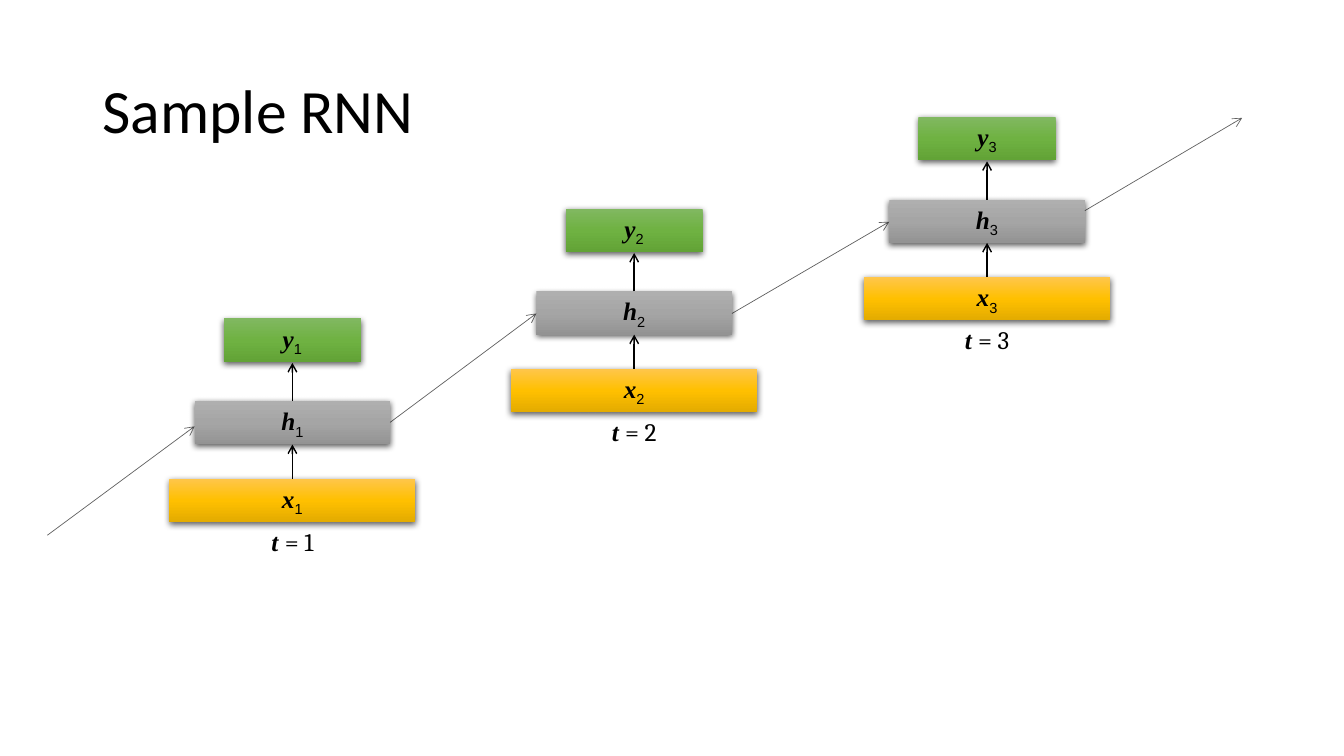
from copy import deepcopy
from dataclasses import dataclass

from lxml import etree
from pptx import Presentation
from pptx.dml.color import RGBColor
from pptx.enum.shapes import MSO_CONNECTOR, MSO_SHAPE
from pptx.enum.text import MSO_ANCHOR, MSO_AUTO_SIZE, PP_ALIGN
from pptx.oxml.ns import qn
from pptx.util import Inches, Pt

STRAIGHT = MSO_CONNECTOR.STRAIGHT
RECTANGLE = MSO_SHAPE.RECTANGLE
MIDDLE = MSO_ANCHOR.MIDDLE
GROW = MSO_AUTO_SIZE.SHAPE_TO_FIT_TEXT
CENTER = PP_ALIGN.CENTER


@dataclass(frozen=True)
class Theme:
    """Colours, fonts and sizes of the slide."""
    black: str = "000000"
    hidden: tuple = ("AFAFAF", "A5A5A5", "939393")
    output: tuple = ("81B861", "6FB242", "62A336")
    input: tuple = ("FFC64B", "FFC000", "E3AB00")
    title_font: str = "Calibri"
    symbol_font: str = "Times New Roman"
    index_font: str = "Arial"
    equation_font: str = "Cambria"
    title_size: int = 44
    body_size: int = 18


THEME = Theme()
BOX_HEIGHT = 0.43
LAYERS = (
    ("h", 0, 1.94, THEME.hidden),
    ("y", -0.82, 1.36, THEME.output),
    ("x", 0.77, 2.44, THEME.input),
)
TIME_STEPS = ((1, 2.9, 3.98), (2, 6.29, 2.89), (3, 9.79, 1.98))
STATE_ARROWS = (
    ((3.87, 4.19), (5.32, 3.11)),
    ((7.26, 3.11), (8.82, 2.2)),
    ((10.76, 2.09), (12.32, 1.17)),
    ((0.47, 5.31), (1.93, 4.23)),
)


def add_text(paragraph, text, *, font, size=THEME.body_size, bold=False, italic=False, baseline=None):
    """Append a formatted run to a paragraph."""
    run = paragraph.add_run()
    run.text = text
    run.font.name = font
    run.font.size = Pt(size)
    run.font.bold = bold
    run.font.italic = italic
    run.font.color.rgb = RGBColor.from_string(THEME.black)
    if baseline is not None:
        run.font._element.set("baseline", str(baseline * 1000))


def add_symbol(paragraph, text):
    """Append a bold italic variable name."""
    add_text(paragraph, text, font=THEME.symbol_font, bold=True, italic=True)


def add_alpha(color_element, percent):
    """Set the opacity of a colour element."""
    etree.SubElement(color_element, qn("a:alpha"), val=str(percent * 1000))


def fill_gradient(shape, colors):
    """Fill a shape from top to bottom with evenly spaced colours."""
    shape.fill.gradient()
    shape.fill.gradient_angle = 270
    stop_list = shape._element.spPr.find(".//" + qn("a:gsLst"))
    while len(stop_list) < len(colors):
        stop_list.append(deepcopy(stop_list[0]))
    for index, (stop, color) in enumerate(zip(shape.fill.gradient_stops, colors)):
        stop.position = index / (len(colors) - 1)
        stop.color.rgb = RGBColor.from_string(color)


def add_shadow(shape):
    """Give a shape a soft shadow that falls downwards."""
    shape.shadow.inherit = False
    effects = shape._element.spPr.find(qn("a:effectLst"))
    shadow = etree.SubElement(
        effects, qn("a:outerShdw"), blurRad=str(Pt(4.5)), dist=str(Pt(1.5)),
        dir="5400000", algn="ctr", rotWithShape="0")
    add_alpha(etree.SubElement(shadow, qn("a:srgbClr"), val=THEME.black), 63)


def add_layer(slide, symbol, step, center, top, width, colors):
    """Draw one layer box with its indexed symbol."""
    shape = slide.shapes.add_shape(
        RECTANGLE, Inches(center - width / 2), Inches(top), Inches(width), Inches(BOX_HEIGHT))
    fill_gradient(shape, colors)
    shape.line.fill.background()
    add_shadow(shape)
    shape.text_frame.vertical_anchor = MIDDLE
    paragraph = shape.text_frame.paragraphs[0]
    paragraph.alignment = CENTER
    add_symbol(paragraph, symbol)
    add_text(paragraph, str(step), font=THEME.index_font, baseline=-25)


def add_arrow(slide, start, end, width=1, opacity=None):
    """Draw a straight line with an open arrowhead at its end."""
    arrow = slide.shapes.add_connector(STRAIGHT, *(Inches(value) for value in (*start, *end)))
    arrow.line.width = Pt(width)
    arrow.line.color.rgb = RGBColor.from_string(THEME.black)
    properties = arrow._element.spPr
    line = properties.find(qn("a:ln"))
    if opacity is not None:
        add_alpha(line.find(".//" + qn("a:srgbClr")), opacity)
    etree.SubElement(line, qn("a:tailEnd"), type="arrow")
    etree.SubElement(properties, qn("a:effectLst"))


def add_time_label(slide, step, center, top):
    """Write the time label below an input box."""
    width = 0.69
    box = slide.shapes.add_textbox(
        Inches(center - width / 2), Inches(top), Inches(width), Inches(0.4))
    box.text_frame.word_wrap = False
    box.text_frame.auto_size = GROW
    paragraph = box.text_frame.paragraphs[0]
    paragraph.alignment = CENTER
    add_symbol(paragraph, "t ")
    add_text(paragraph, f"= {step}", font=THEME.equation_font)


def add_time_step(slide, step, center, top):
    """Draw the layers, arrows and label of one time step."""
    for symbol, offset, width, colors in LAYERS:
        add_layer(slide, symbol, step, center, top + offset, width, colors)
    add_arrow(slide, (center, top + 0.77), (center, top + BOX_HEIGHT))
    add_arrow(slide, (center, top), (center, top - 0.38))
    add_time_label(slide, step, center, top + 1.19)


def add_title(slide, text):
    """Write the slide title."""
    box = slide.shapes.add_textbox(Inches(0.92), Inches(0.4), Inches(11.5), Inches(1.45))
    box.text_frame.word_wrap = True
    box.text_frame.vertical_anchor = MIDDLE
    paragraph = box.text_frame.paragraphs[0]
    paragraph.line_spacing = 0.9
    add_text(paragraph, text, font=THEME.title_font, size=THEME.title_size)


def main():
    """Build and save the slide."""
    presentation = Presentation()
    presentation.slide_width = Inches(13.33)
    presentation.slide_height = Inches(7.5)
    slide = presentation.slides.add_slide(presentation.slide_layouts[6])
    add_title(slide, "Sample RNN")
    for step, center, top in TIME_STEPS:
        add_time_step(slide, step, center, top)
    for start, end in STATE_ARROWS:
        add_arrow(slide, start, end, width=0.5, opacity=61)
    presentation.save("out.pptx")


if __name__ == "__main__":
    main()
